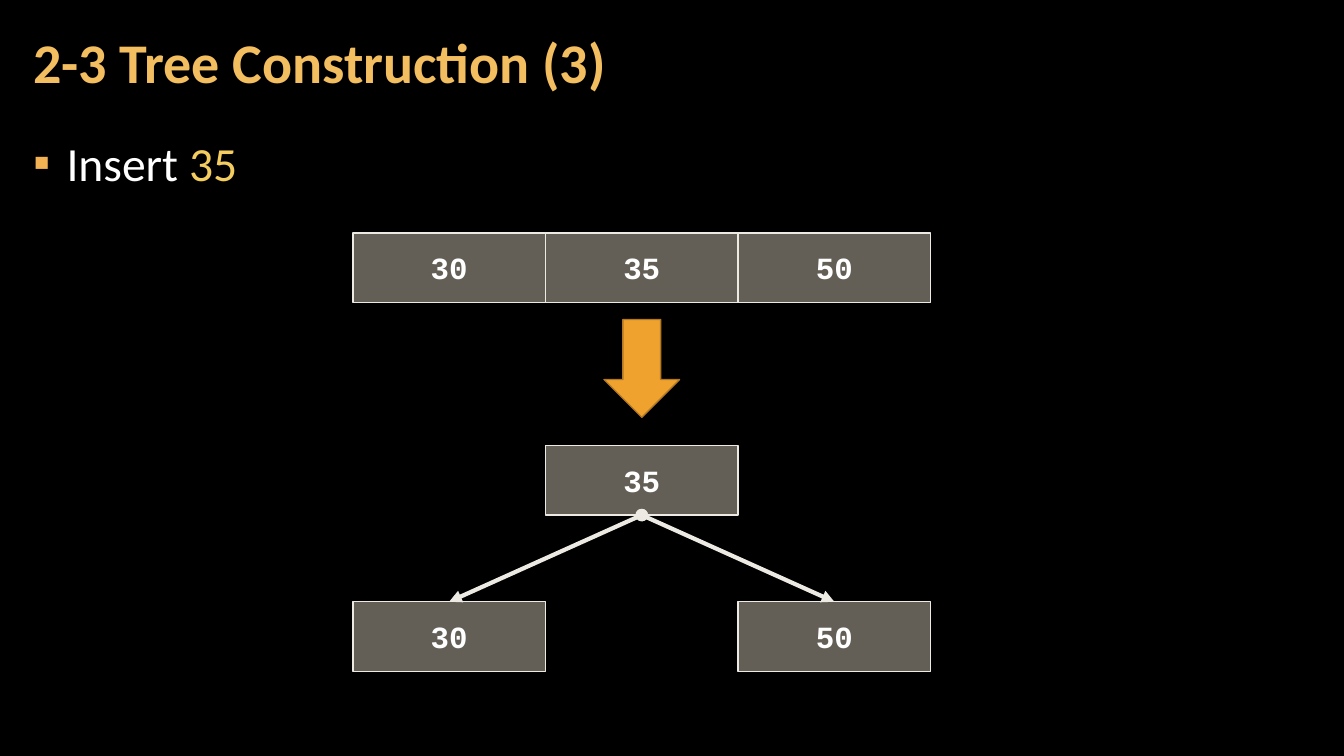
import pptx
import pptx.util
import pptx.dml.color
import pptx.enum.shapes
import pptx.enum.text
import pptx.oxml.ns
from lxml import etree

Inches, Pt = pptx.util.Inches, pptx.util.Pt
SHAPE = pptx.enum.shapes.MSO_SHAPE
ANCHOR = pptx.enum.text.MSO_ANCHOR
ALIGN = pptx.enum.text.PP_ALIGN
qn = pptx.oxml.ns.qn

# Content
TITLE = [("2-3 Tree Construction (3)", "F3BE60")]
BULLET = [("Insert ", "FFFFFF"), ("35", "F3CD60")]
# Node rows: top, then (column, key)
FULL_NODE = (2.31, [(0, "30"), (1, "35"), (2, "50")])
ROOT = (4.42, [(1, "35")])
CHILDREN = (5.97, [(0, "30"), (2, "50")])
LEFT, CELL_W, CELL_H = 3.5, 1.91, 0.69
ARROW_W, ARROW_H, ARROW_MID = 0.97, 0.75, 3.655
PALE = "ECEAE3"


def color(value):
    return pptx.dml.color.RGBColor.from_string(value)


def add_run(p, text, size, value, font="Calibri", bold=False):
    r = p.add_run()
    r.text = text
    r.font.size, r.font.name, r.font.bold = Pt(size), font, bold
    r.font.color.rgb = color(value)


def add_text(at, runs, size, spacing, bold=False, anchor=ANCHOR.TOP):
    tf = s.shapes.add_textbox(*map(Inches, at)).text_frame
    tf.word_wrap = True
    tf.vertical_anchor = anchor
    tf.margin_left = tf.margin_right = Inches(0.12)
    tf.margin_top = tf.margin_bottom = Inches(0.04)
    p = tf.paragraphs[0]
    p.line_spacing = spacing
    for text, value in runs:
        add_run(p, text, size, value, bold=bold)
    return p


def add_box(kind, x, y, w, h, fill, line):
    sp = s.shapes.add_shape(kind, *map(Inches, (x, y, w, h)))
    sp.shadow.inherit = False
    sp.fill.solid()
    sp.fill.fore_color.rgb = color(fill)
    sp.line.color.rgb = color(line)
    sp.line.width = Pt(1)
    return sp


def add_nodes(row):
    top, keys = row
    nodes = []
    for col, key in keys:
        sp = add_box(SHAPE.RECTANGLE, LEFT + col * CELL_W, top, CELL_W, CELL_H, "C7BFAC", PALE)
        rgb = sp.fill.fore_color._xFill.find(qn("a:srgbClr"))
        etree.SubElement(rgb, qn("a:alpha"), val="50000")
        tf = sp.text_frame
        tf.vertical_anchor = ANCHOR.MIDDLE
        p = tf.paragraphs[0]
        p.alignment = ALIGN.CENTER
        add_run(p, key, 22, "FFFFFF", "Courier New", True)
        nodes.append(sp)
    return nodes


def add_link(parent, child):
    link = s.shapes.add_connector(pptx.enum.shapes.MSO_CONNECTOR.STRAIGHT, 0, 0, 0, 0)
    link.begin_connect(parent, 2)
    link.end_connect(child, 0)
    link.line.color.rgb = color(PALE)
    link.line.width = Pt(3)
    ln = link.line._get_or_add_ln()
    etree.SubElement(ln, qn("a:headEnd"), type="oval")
    etree.SubElement(ln, qn("a:tailEnd"), type="triangle")
    etree.SubElement(ln.getparent(), qn("a:effectLst"))


prs = pptx.Presentation()
prs.slide_width, prs.slide_height = Inches(13.33), Inches(7.5)
s = prs.slides.add_slide(prs.slide_layouts[6])
s.background.fill.solid()
s.background.fill.fore_color.rgb = color("000000")

# Bullet and title
p = add_text((0.21, 1.26, 12.91, 6.09), BULLET, 34, 1.05)
p.space_before = p.space_after = Pt(6)
pPr = p._p.get_or_add_pPr()
pPr.set("marL", str(Inches(0.33)))
pPr.set("indent", str(-Inches(0.33)))
bullet_color = etree.SubElement(pPr, qn("a:buClr"))
etree.SubElement(bullet_color, qn("a:srgbClr"), val="F2B254")
etree.SubElement(pPr, qn("a:buFont"), typeface="Wingdings")
pPr[-1].set("typeface", "Calibri")
etree.SubElement(pPr, qn("a:buChar"), char="▪")
add_text((0.21, 0.04, 10.47, 1.21), TITLE, 40, 0.9, True, ANCHOR.MIDDLE)

# Overfull node, then the arrow to its split
add_nodes(FULL_NODE)
middle = LEFT + 1.5 * CELL_W
arrow = add_box(SHAPE.RIGHT_ARROW, middle - ARROW_W / 2, ARROW_MID - ARROW_H / 2,
                ARROW_W, ARROW_H, "F0A22E", "B27822")
arrow.rotation = 90

# Resulting tree
root = add_nodes(ROOT)[0]
for child in add_nodes(CHILDREN):
    add_link(root, child)

prs.save("out.pptx")
